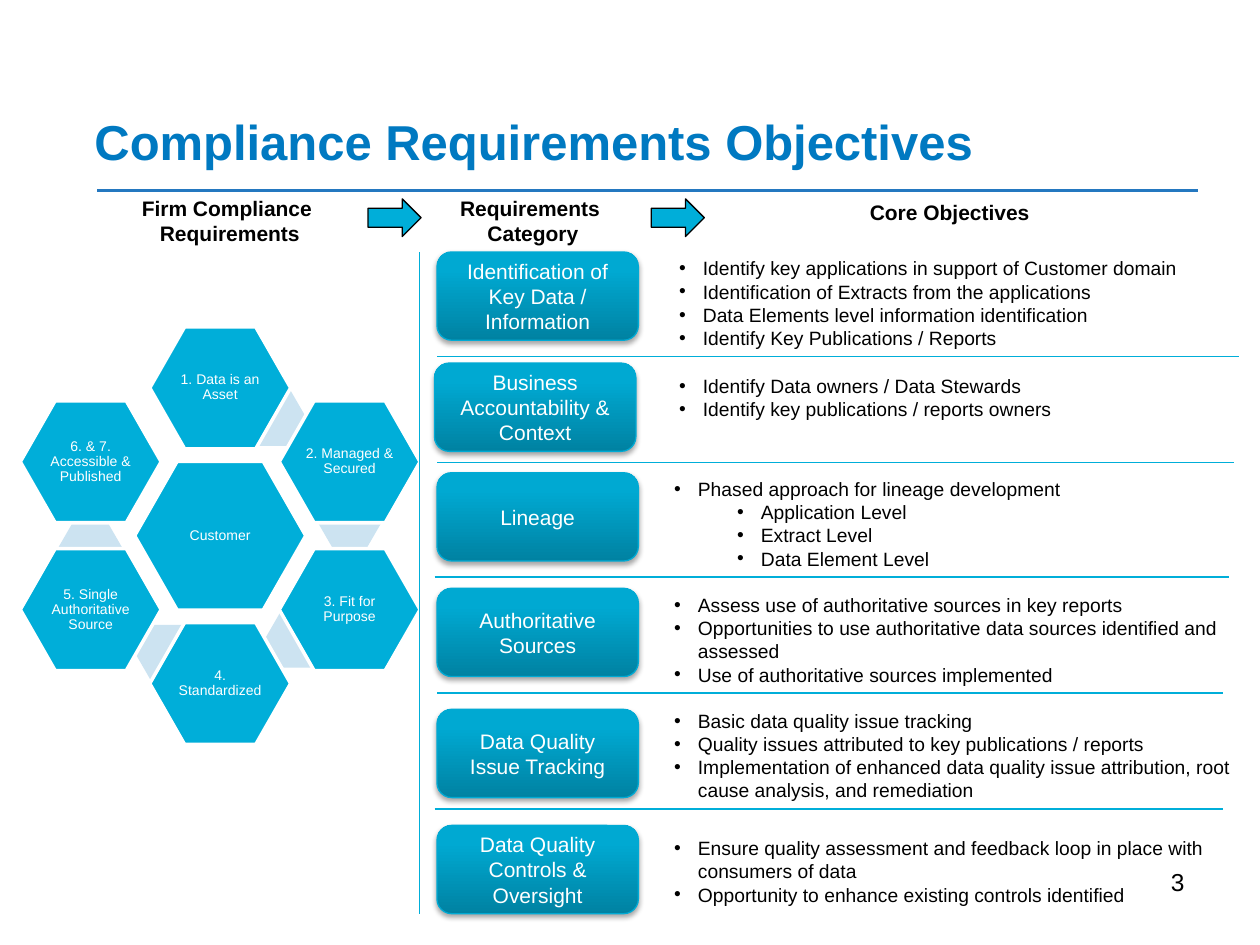
from dataclasses import dataclass

import pptx
import pptx.dml.color
import pptx.enum.shapes
import pptx.enum.text
import pptx.oxml
import pptx.oxml.ns
import pptx.util
from pptx.util import Cm, Pt

RGBColor = pptx.dml.color.RGBColor
SHAPE = pptx.enum.shapes.MSO_SHAPE
ALIGN = pptx.enum.text.PP_ALIGN
ANCHOR = pptx.enum.text.MSO_ANCHOR
AUTO_SIZE = pptx.enum.text.MSO_AUTO_SIZE

TITLE_BLUE = RGBColor(0x00, 0x79, 0xC1)
RULE_BLUE = RGBColor(0x24, 0x78, 0xC0)
CYAN = RGBColor(0x00, 0xAE, 0xD9)
PALE_BLUE = RGBColor(0xCC, 0xE3, 0xF1)
BUTTON_DARK = RGBColor(0x00, 0x82, 0xA2)
BUTTON_LIGHT = RGBColor(0x00, 0xA9, 0xD2)
BUTTON_EDGE = RGBColor(0x00, 0xAA, 0xD4)
WHITE = RGBColor(0xFF, 0xFF, 0xFF)
BLACK = RGBColor(0x00, 0x00, 0x00)
FONT = "Arial"


@dataclass
class Row:
    category: str
    left: float
    top: float
    text_box: tuple
    objectives: tuple
    details: tuple = ()
    divider: tuple = None  # start x, end x, y


ROWS = (
    Row("Identification of Key Data / Information", 8.81, 5.08, (13.44, 5.05, 11.53, 2.13),
        ("Identify key applications in support of Customer domain",
         "Identification of Extracts from the applications",
         "Data Elements level information identification",
         "Identify Key Publications / Reports"),
        divider=(8.81, 24.97, 7.19)),
    Row("Business Accountability & Context", 8.76, 7.32, (13.44, 7.42, 11.63, 1.19),
        ("Identify Data owners / Data Stewards",
         "Identify key publications / reports owners"),
        divider=(8.81, 24.87, 9.32)),
    Row("Lineage", 8.81, 9.53, (13.34, 9.5, 11.86, 2.13),
        ("Phased approach for lineage development",),
        details=("Application Level", "Extract Level", "Data Element Level"),
        divider=(8.76, 24.77, 11.63)),
    Row("Authoritative Sources", 8.81, 11.86, (13.34, 11.84, 11.86, 2.13),
        ("Assess use of authoritative sources in key reports",
         "Opportunities to use authoritative data sources identified and assessed",
         "Use of authoritative sources implemented"),
        divider=(8.81, 24.66, 13.97)),
    Row("Data Quality Issue Tracking", 8.81, 14.3, (13.34, 14.17, 11.86, 2.13),
        ("Basic data quality issue tracking",
         "Quality issues attributed to key publications / reports",
         "Implementation of enhanced data quality issue attribution, "
         "root cause analysis, and remediation"),
        divider=(8.76, 24.66, 16.31)),
    Row("Data Quality Controls & Oversight", 8.81, 16.64, (13.34, 16.74, 11.86, 1.68),
        ("Ensure quality assessment and feedback loop in place with consumers of data",
         "Opportunity to enhance existing controls identified")),
)

# Label, column and row offset from the ring centre, link drawn beneath it
RING_CENTRE = (4.44, 10.8)
RING = (
    ("1. Data is an Asset", 0, -2.98, (4.88, 7.87)),
    ("2. Managed & Secured", 2.61, -1.49, (6.4, 9.96)),
    ("3. Fit for Purpose", 2.61, 1.49, (5.33, 12.34)),
    ("4. Standardized", 0, 2.98, (2.72, 12.6)),
    ("5. Single Authoritative Source", -2.61, 1.49, (1.17, 10.49)),
    ("6. & 7. Accessible & Published", -2.61, -1.49, None),
)


def format_text(tf, size, color, align=ALIGN.LEFT, bold=False):
    tf.word_wrap = True
    for p in tf.paragraphs:
        p.alignment = align
        for r in p.runs:
            r.font.name = FONT
            r.font.size = Pt(size)
            r.font.bold = bold
            r.font.color.rgb = color


def add_title(s, text):
    sp = s.shapes.title
    sp.left, sp.top, sp.width, sp.height = Cm(1.65), Cm(2.11), Cm(22.48), Cm(1.45)
    tf = sp.text_frame
    tf.text = text
    tf.auto_size = AUTO_SIZE.NONE
    tf.vertical_anchor = ANCHOR.BOTTOM
    format_text(tf, 28, TITLE_BLUE, bold=True)


def add_line(s, x1, y1, x2, y2, color=CYAN, width=0.75):
    line = s.shapes.add_connector(pptx.enum.shapes.MSO_CONNECTOR.STRAIGHT,
                                  Cm(x1), Cm(y1), Cm(x2), Cm(y2))
    line.line.color.rgb = color
    line.line.width = Pt(width)
    line._element.spPr.append(pptx.oxml.parse_xml(
        f"<a:effectLst {pptx.oxml.ns.nsdecls('a')}/>"))


def add_shape(s, kind, left, top, width, height, fill, edge=None, edge_width=0.75):
    sp = s.shapes.add_shape(kind, Cm(left), Cm(top), Cm(width), Cm(height))
    sp.shadow.inherit = False
    sp.fill.solid()
    sp.fill.fore_color.rgb = fill
    if edge is None:
        sp.line.fill.background()
    else:
        sp.line.color.rgb = edge
        sp.line.width = Pt(edge_width)
    return sp


def add_hexagon(s, label, cx, cy, width, height):
    sp = add_shape(s, SHAPE.HEXAGON, cx - width / 2, cy - height / 2, width, height,
                   CYAN, WHITE, 2)
    sp.adjustments[0] = 0.286
    tf = sp.text_frame
    tf.text = label
    tf.margin_left = tf.margin_right = tf.margin_top = tf.margin_bottom = Cm(0.03)
    tf.vertical_anchor = ANCHOR.MIDDLE
    tf.paragraphs[0].line_spacing = 0.9
    format_text(tf, 8, WHITE, ALIGN.CENTER)


def add_ring(s):
    """Draw the central hexagon and its ring; each hexagon partly covers the links."""
    cx, cy = RING_CENTRE
    add_hexagon(s, "Customer", cx, cy, 3.45, 3)
    for label, dx, dy, link in RING:
        if link:
            sp = add_shape(s, SHAPE.HEXAGON, *link, 1.3, 1.12, PALE_BLUE)
            sp.adjustments[0] = 0.289
        add_hexagon(s, label, cx + dx, cy + dy, 2.84, 2.46)


def add_button(s, label, left, top):
    sp = add_shape(s, SHAPE.ROUNDED_RECTANGLE, left, top, 4.06, 1.78, CYAN, BUTTON_EDGE)
    sp.fill.gradient()
    sp.fill.gradient_angle = 90
    stops = zip(sp.fill.gradient_stops, (0, 0.8), (BUTTON_DARK, BUTTON_LIGHT))
    for stop, position, color in stops:
        stop.position = position
        stop.color.rgb = color
    effects = sp._element.spPr.find(pptx.oxml.ns.qn("a:effectLst"))
    effects.append(pptx.oxml.parse_xml(
        f'<a:outerShdw {pptx.oxml.ns.nsdecls("a")} blurRad="{Pt(3.1)}" dist="{Pt(1.8)}" '
        'dir="5400000" rotWithShape="0"><a:srgbClr val="000000">'
        '<a:alpha val="35000"/></a:srgbClr></a:outerShdw>'))
    tf = sp.text_frame
    tf.text = label
    tf.vertical_anchor = ANCHOR.MIDDLE
    format_text(tf, 12, WHITE, ALIGN.CENTER)


def add_text(s, text, left, top, width, height, size, align=ALIGN.LEFT, bold=False):
    tf = s.shapes.add_textbox(Cm(left), Cm(top), Cm(width), Cm(height)).text_frame
    tf.text = text
    format_text(tf, size, BLACK, align, bold)
    return tf


def add_objectives(s, row):
    tf = add_text(s, "\n".join(row.objectives + row.details), *row.text_box, 11)
    tf.auto_size = AUTO_SIZE.SHAPE_TO_FIT_TEXT
    for i, p in enumerate(tf.paragraphs):
        p.level = int(i >= len(row.objectives))
        pPr = p._p.get_or_add_pPr()
        pPr.set("marL", str(Cm(0.48 + 1.27 * p.level)))
        pPr.set("indent", str(Cm(-0.48)))
        for tag in ('buFont typeface="Arial"', 'buChar char="•"'):
            name, attribute = tag.split(" ")
            pPr.append(pptx.oxml.parse_xml(
                f"<a:{name} {pptx.oxml.ns.nsdecls('a')} {attribute}/>"))


def main():
    prs = pptx.Presentation()
    prs.slide_width, prs.slide_height = Cm(25.4), Cm(19.05)
    s = prs.slides.add_slide(prs.slide_layouts[5])

    add_title(s, "Compliance Requirements Objectives")
    add_line(s, 1.96, 3.84, 24.16, 3.84, RULE_BLUE, 1.5)
    add_ring(s)
    add_text(s, "3", 18.21, 17.35, 5.92, 1.32, 14, ALIGN.RIGHT)

    for row in ROWS:
        add_button(s, row.category, row.left, row.top)
        add_objectives(s, row)
        if row.divider:
            x1, x2, y = row.divider
            add_line(s, x1, y, x2, y)

    for text, *box in (("Core Objectives ", 13.44, 3.89, 11.53, 0.76),
                       ("Requirements \nCategory", 4.98, 3.81, 11.53, 1.27),
                       ("Firm Compliance \nRequirements", 0.43, 3.81, 8.41, 1.27)):
        add_text(s, text, *box, 12, ALIGN.CENTER, True)
    add_line(s, 8.46, 5.08, 8.46, 18.42)
    for left in (7.42, 13.13):
        add_shape(s, SHAPE.RIGHT_ARROW, left, 4.01, 1.07, 0.76, CYAN, BLACK)

    prs.save("out.pptx")


if __name__ == "__main__":
    main()
